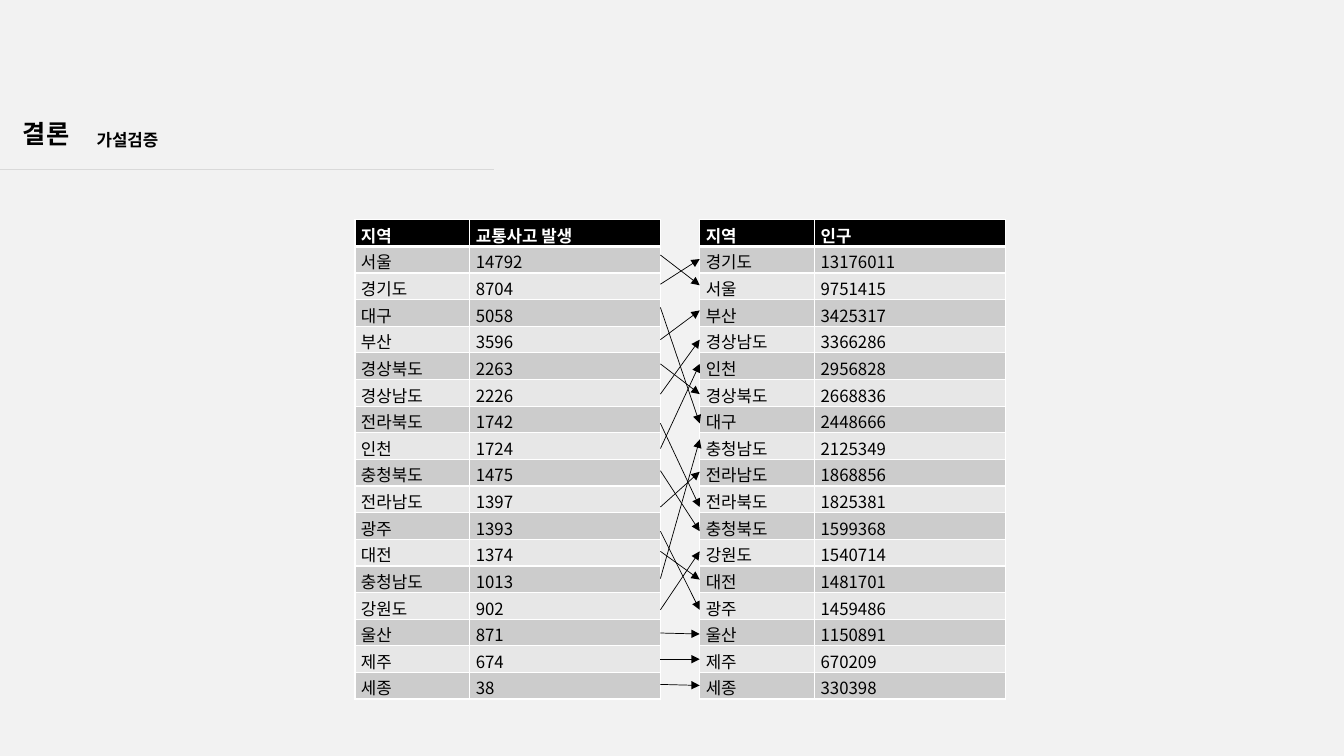
from lxml import etree
from pptx import Presentation
from pptx.dml.color import RGBColor
from pptx.enum.shapes import MSO_CONNECTOR
from pptx.enum.text import MSO_AUTO_SIZE
from pptx.oxml.ns import qn
from pptx.util import Pt

PX = 9144  # 100 px to the inch
LINE = MSO_CONNECTOR.STRAIGHT
GROW = MSO_AUTO_SIZE.SHAPE_TO_FIT_TEXT
FONT = "Noto Sans CJK KR"
HEX = {"back": "F2F2F2", "ink": "000000", "white": "FFFFFF", "rule": "D9D9D9",
       "dark": "CCCCCC", "light": "E7E7E7"}

# Region, value, height of the arrow end beside the row
CRASHES = [
    ("서울", "14792", 253), ("경기도", "8704", 282), ("대구", "5058", 305),
    ("부산", "3596", 337), ("경상북도", "2263", 361), ("경상남도", "2226", 391),
    ("전라북도", "1742", 420), ("인천", "1724", 445), ("충청북도", "1475", 467),
    ("전라남도", "1397", 503), ("광주", "1393", 527), ("대전", "1374", 547),
    ("충청남도", "1013", 574), ("강원도", "902", 605), ("울산", "871", 628),
    ("제주", "674", 654), ("세종", "38", 679),
]
PEOPLE = [
    ("경기도", "13176011", 257), ("서울", "9751415", 283), ("부산", "3425317", 308),
    ("경상남도", "3366286", 337), ("인천", "2956828", 361), ("경상북도", "2668836", 391),
    ("대구", "2448666", 420), ("충청남도", "2125349", 436), ("전라남도", "1868856", 468),
    ("전라북도", "1825381", 503), ("충청북도", "1599368", 527), ("강원도", "1540714", 547),
    ("대전", "1481701", 575), ("광주", "1459486", 605), ("울산", "1150891", 629),
    ("제주", "670209", 654), ("세종", "330398", 680),
]


def paint(fill, color):
    fill.solid()
    fill.fore_color.rgb = RGBColor.from_string(HEX[color])


def write(frame, text, size, color, bold):
    frame.text = text
    run = frame.paragraphs[0].runs[0]
    font = run.font
    font.name, font.size, font.bold = FONT, Pt(size), bold
    font.color.rgb = RGBColor.from_string(HEX[color])
    east = etree.Element(qn("a:ea"), typeface=FONT)
    font._element.find(qn("a:latin")).addnext(east)


def label(slide, box, text, size, space=None):
    shape = slide.shapes.add_textbox(*(n * PX for n in box))
    frame = shape.text_frame
    frame.word_wrap = True
    frame.auto_size = GROW
    write(frame, text, size, "ink", True)
    if space:
        frame.paragraphs[0].line_spacing = space


def join(slide, start, end, color, arrow=False):
    line = slide.shapes.add_connector(LINE, *(n * PX for n in start + end))
    line.line.width = Pt(0.5)
    line.line.color.rgb = RGBColor.from_string(HEX[color])
    if arrow:
        etree.SubElement(line.line._ln, qn("a:tailEnd"), type="triangle")
    etree.SubElement(line._element.spPr, qn("a:effectLst"))


def edge(cell, side, width):
    props = cell._tc.get_or_add_tcPr()
    line = etree.SubElement(props, qn("a:ln" + side), w=str(Pt(width)))
    fill = etree.SubElement(line, qn("a:solidFill"))
    etree.SubElement(fill, qn("a:srgbClr"), val=HEX["white"])


def head(slide, box):
    left, top, width, height = box
    label(slide, (left + 13, top, 716, 40), "결론", 18)
    join(slide, (left, top + height), (left + width, top + height), "rule")
    label(slide, (left + 86, top, 241, 39), "가설검증", 12, 1.6)


def ranking(slide, box, title, data):
    rows = [("지역", title)] + [item[:2] for item in data]
    frame = slide.shapes.add_table(len(rows), 2, *(n * PX for n in box))
    table = frame.table
    table.columns[0].width = 114 * PX
    table.columns[1].width = (box[2] - 114) * PX
    for i, texts in enumerate(rows):
        table.rows[i].height = box[3] * PX // len(rows)
        shade = "ink" if i == 0 else "dark" if i % 2 else "light"
        for j, text in enumerate(texts):
            cell = table.cell(i, j)
            cell.margin_left = cell.margin_right = 6 * PX
            cell.margin_top = cell.margin_bottom = 3 * PX
            write(cell.text_frame, text, 12, "ink" if i else "white", i == 0)
            for side in "LRTB":
                thick = (i, side) in ((0, "B"), (1, "T"))
                edge(cell, side, 3 if thick else 1)
            paint(cell.fill, shade)


def links(slide, left, right):
    """Join each region's rows across the gap."""
    ends = {name: y for name, _, y in PEOPLE}
    for name, _, y in CRASHES:
        join(slide, (left, y), (right, ends[name]), "ink", True)


def main():
    deck = Presentation()
    deck.slide_width, deck.slide_height = 1333 * PX, 750 * PX
    slide = deck.slides.add_slide(deck.slide_layouts[6])
    paint(slide.background.fill, "back")
    head(slide, (0, 112, 490, 56))
    ranking(slide, (352, 218, 303, 476), "교통사고 발생", CRASHES)
    ranking(slide, (694, 218, 303, 476), "인구", PEOPLE)
    links(slide, 655, 694)
    deck.save("out.pptx")


if __name__ == "__main__":
    main()
